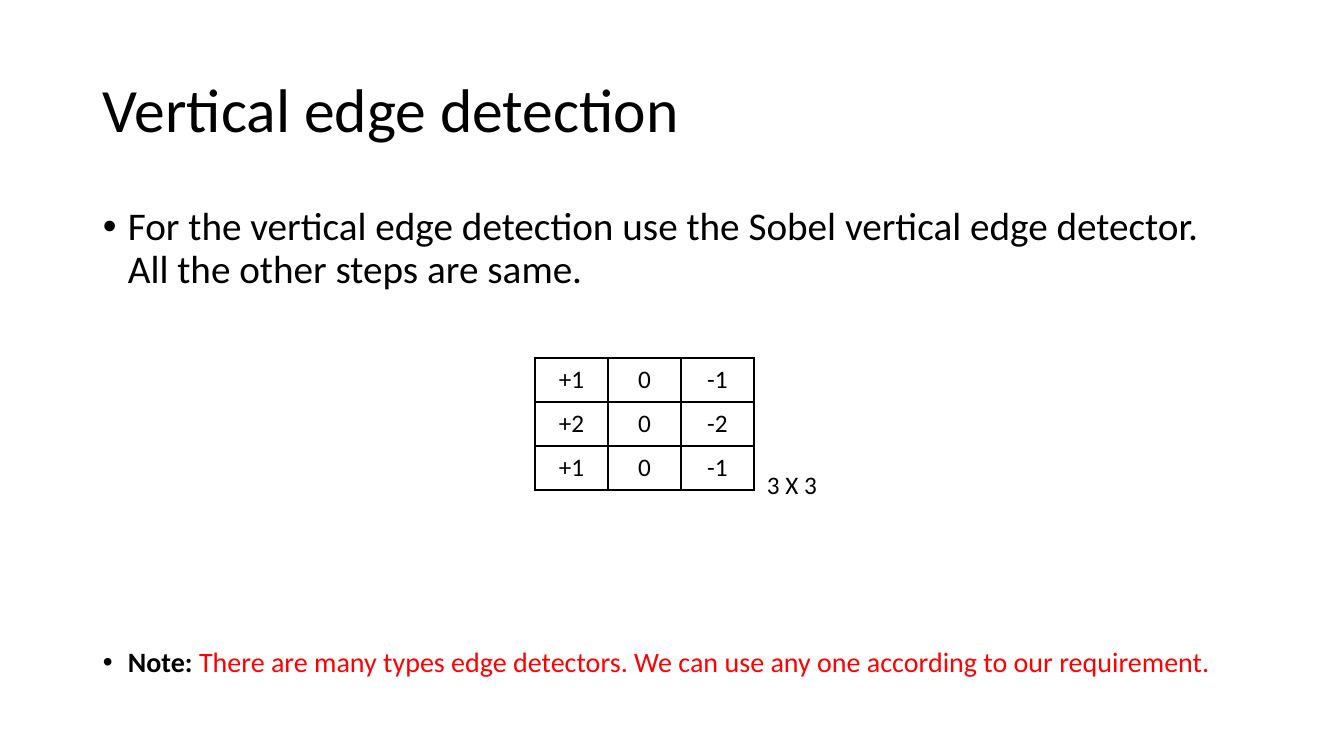
from lxml.etree import SubElement
from pptx import Presentation
from pptx.dml.color import RGBColor
from pptx.enum.text import MSO_ANCHOR, PP_ALIGN
from pptx.oxml.ns import qn
from pptx.util import Emu, Pt

SCALE = 12192000 / 1344
BLACK = RGBColor(0, 0, 0)
RED = RGBColor(255, 0, 0)
WHITE = RGBColor(255, 255, 255)
FONT = "Calibri"
SOBEL_KERNEL = [["+1", "0", "-1"], ["+2", "0", "-2"], ["+1", "0", "-1"]]


def px(length):
    """Turn whole pixels into EMU."""
    return Emu(round(length * SCALE))


def add_run(paragraph, wording, size, color=BLACK, bold=False):
    """Append one styled run."""
    run = paragraph.add_run()
    run.text = wording
    run.font.name = FONT
    run.font.size = Pt(size)
    run.font.bold = bold
    run.font.color.rgb = color


def add_text_frame(slide, left, top, width, height, anchor=MSO_ANCHOR.TOP):
    """Add a wrapping text box and return its frame."""
    frame = slide.shapes.add_textbox(px(left), px(top), px(width), px(height)).text_frame
    frame.word_wrap = True
    frame.vertical_anchor = anchor
    return frame


def make_bullet(paragraph, space_before):
    """Give a paragraph a hanging bullet and its spacing."""
    paragraph.line_spacing = 0.9
    paragraph.space_before = Pt(space_before)
    properties = paragraph._p.get_or_add_pPr()
    properties.set("marL", str(px(25)))
    properties.set("indent", str(-px(25)))
    SubElement(properties, qn("a:buFont"), typeface="Arial")
    SubElement(properties, qn("a:buChar"), char="•")


def add_borders(cell):
    """Draw a one-point black line on every side of a cell."""
    properties = cell._tc.get_or_add_tcPr()
    for side in ("lnL", "lnR", "lnT", "lnB"):
        border = SubElement(properties, qn(f"a:{side}"), w=str(Pt(1)))
        fill = SubElement(border, qn("a:solidFill"))
        SubElement(fill, qn("a:srgbClr"), val=str(BLACK))


def add_kernel(slide, left, top, column_width, row_height, values):
    """Add the kernel as a table of centred numbers."""
    rows, columns = len(values), len(values[0])
    kernel = slide.shapes.add_table(
        rows, columns, px(left), px(top), px(columns * column_width), px(rows * row_height)
    ).table
    kernel.first_row = kernel.horz_banding = False
    for row, numbers in enumerate(values):
        for column, number in enumerate(numbers):
            cell = kernel.cell(row, column)
            add_borders(cell)
            cell.fill.solid()
            cell.fill.fore_color.rgb = WHITE
            cell.vertical_anchor = MSO_ANCHOR.MIDDLE
            paragraph = cell.text_frame.paragraphs[0]
            paragraph.alignment = PP_ALIGN.CENTER
            add_run(paragraph, number, 18)


def main():
    """Build and save the slide."""
    deck = Presentation()
    deck.slide_width, deck.slide_height = px(1344), px(756)
    slide = deck.slides.add_slide(deck.slide_layouts[6])

    title = add_text_frame(slide, 93, 40, 1159, 146, MSO_ANCHOR.MIDDLE).paragraphs[0]
    title.line_spacing = 0.9
    add_run(title, "Vertical edge detection", 44)

    body = add_text_frame(slide, 93, 202, 1159, 480)
    method = body.paragraphs[0]
    make_bullet(method, 10)
    add_run(method, "For the vertical edge detection use the Sobel vertical edge detector. "
                    "All the other steps are same.", 28)
    note = body.add_paragraph()
    make_bullet(note, 255)
    add_run(note, "Note: ", 20, bold=True)
    add_run(note, "There are many types edge detectors. "
                  "We can use any one according to our requirement.", 20, RED)

    add_kernel(slide, 535, 358, 73, 44, SOBEL_KERNEL)
    kernel_size = add_text_frame(slide, 757, 464, 79, 40).paragraphs[0]
    add_run(kernel_size, "3 X 3", 18)

    deck.save("out.pptx")


main()
